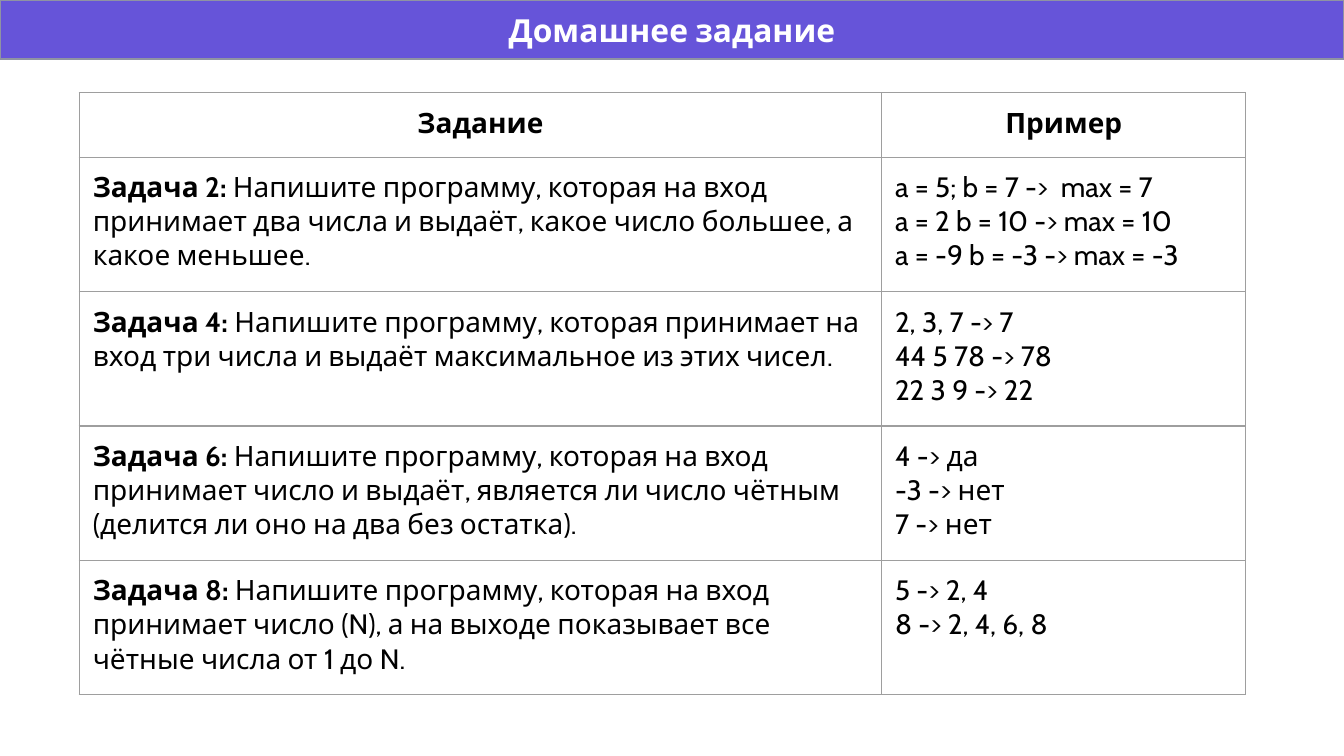
import pptx
import pptx.util
import pptx.dml.color
import pptx.enum.text
import pptx.oxml
import pptx.oxml.ns
from pptx.util import Inches

FONT = "Cabin"
PADDING = 0.1
SLIDE_WIDTH = 10
SLIDE_HEIGHT = SLIDE_WIDTH * 9 / 16
ALIGN = pptx.enum.text.PP_ALIGN
ANCHOR = pptx.enum.text.MSO_ANCHOR

HEADINGS = ("Задание", "Пример")
TASKS = [
    ("Задача 2:",
     " Напишите программу, которая на вход принимает два числа и выдаёт, "
     "какое число большее, а какое меньшее.",
     ["a = 5; b = 7 ->  max = 7", "a = 2 b = 10 -> max = 10",
      "a = -9 b = -3 -> max = -3"]),
    ("Задача 4: ",
     "Напишите программу, которая принимает на вход три числа и выдаёт "
     "максимальное из этих чисел.",
     ["2, 3, 7 -> 7", "44 5 78 -> 78", "22 3 9 -> 22"]),
    ("Задача 6: ",
     "Напишите программу, которая на вход принимает число и выдаёт, является "
     "ли число чётным (делится ли оно на два без остатка).",
     ["4 -> да", "-3 -> нет", "7 -> нет"]),
    ("Задача 8: ",
     "Напишите программу, которая на вход принимает число (N), а на выходе "
     "показывает все чётные числа от 1 до N.",
     ["5 -> 2, 4", "8 -> 2, 4, 6, 8"]),
]


def color(hex_value):
    return pptx.dml.color.RGBColor.from_string(hex_value)


def add_text(paragraph, text, size=15, bold=False, fill="000000", align=ALIGN.LEFT):
    paragraph.alignment = align
    run = paragraph.add_run()
    run.text = text
    run.font.name = FONT
    run.font.size = pptx.util.Pt(size)
    run.font.bold = bold
    run.font.color.rgb = color(fill)


def set_padding(box):
    box.margin_left = box.margin_right = Inches(PADDING)
    box.margin_top = box.margin_bottom = Inches(PADDING)


def format_cell(cell, border="9E9E9E", width=0.75):
    """Outline the cell on all four sides and leave it unfilled."""
    properties = cell._tc.get_or_add_tcPr()
    for side in ("lnL", "lnR", "lnT", "lnB"):
        properties.append(pptx.oxml.parse_xml(
            f'<a:{side} {pptx.oxml.ns.nsdecls("a")} w="{pptx.util.Pt(width)}">'
            f'<a:solidFill><a:srgbClr val="{border}"/></a:solidFill></a:{side}>'))
    cell.fill.background()
    cell.vertical_anchor = ANCHOR.TOP
    set_padding(cell)


def add_title_band(slide, left, top, width, height):
    band = slide.shapes.title
    band.left, band.top = Inches(left), Inches(top)
    band.width, band.height = Inches(width), Inches(height)
    band.fill.solid()
    band.fill.fore_color.rgb = color("6654D9")
    band.line.color.rgb = color("8F93A3")
    band.line.width = pptx.util.Pt(0.75)
    frame = band.text_frame
    frame.word_wrap = True
    frame.auto_size = pptx.enum.text.MSO_AUTO_SIZE.NONE
    frame.vertical_anchor = ANCHOR.MIDDLE
    set_padding(frame)
    add_text(frame.paragraphs[0], "Домашнее задание", size=17, bold=True,
             fill="FFFFFF", align=ALIGN.CENTER)


def add_task_table(slide, left, top, width, height):
    header_height, task_width = 0.48, 5.97
    table = slide.shapes.add_table(
        len(TASKS) + 1, len(HEADINGS),
        Inches(left), Inches(top), Inches(width), Inches(height)).table
    table.first_row = table.horz_banding = False

    # Column widths and row heights
    table.columns[0].width = Inches(task_width)
    table.columns[1].width = Inches(width - task_width)
    for row in table.rows:
        row.height = Inches((height - header_height) / len(TASKS))
    table.rows[0].height = Inches(header_height)
    for cell in table.iter_cells():
        format_cell(cell)

    # Header row
    for column, heading in enumerate(HEADINGS):
        add_text(table.cell(0, column).text_frame.paragraphs[0], heading,
                 bold=True, align=ALIGN.CENTER)

    # Tasks with their examples
    for row, (label, statement, examples) in enumerate(TASKS, start=1):
        task = table.cell(row, 0).text_frame.paragraphs[0]
        add_text(task, label, bold=True)
        add_text(task, statement)
        example_frame = table.cell(row, 1).text_frame
        for index, example in enumerate(examples):
            line = example_frame.add_paragraph() if index else example_frame.paragraphs[0]
            add_text(line, example)


def main():
    deck = pptx.Presentation()
    deck.slide_width, deck.slide_height = Inches(SLIDE_WIDTH), Inches(SLIDE_HEIGHT)
    slide = deck.slides.add_slide(deck.slide_layouts.get_by_name("Title Only"))
    add_title_band(slide, 0, 0, SLIDE_WIDTH, 0.44)
    add_task_table(slide, 0.59, 0.69, 8.68, 4.48)
    deck.save("out.pptx")


if __name__ == "__main__":
    main()
